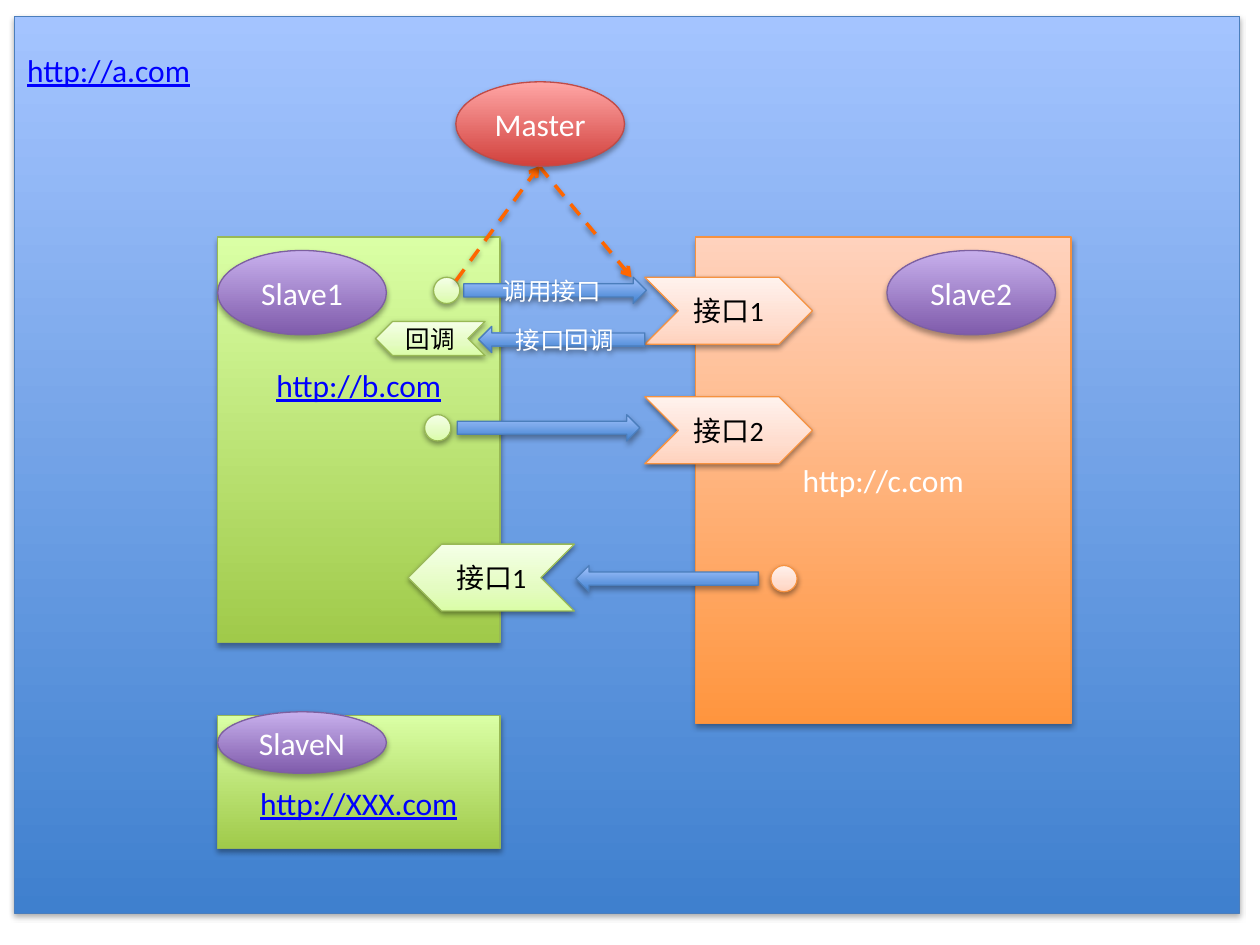
from lxml.etree import SubElement as Sub
from pptx import Presentation
from pptx.dml.color import RGBColor as Rgb
from pptx.enum.dml import MSO_LINE_DASH_STYLE as Dash
from pptx.enum.shapes import MSO_CONNECTOR as Conn, MSO_SHAPE as Geo
from pptx.enum.text import MSO_ANCHOR as Anchor, PP_ALIGN as Align
from pptx.oxml.ns import qn
from pptx.util import Cm, Pt

COLORS = {"white": "FFFFFF", "black": "000000", "link": "0000FF", "dash": "FF6600"}

# Each look: gradient stops from bottom to top, and the outline
LOOKS = {
    "blue": ({0: "3F80CE", 100: "A4C4FF"}, "4B7EBC"),
    "green": ({0: "A0CA4A", 100: "DAFFA5"}, "98B955"),
    "orange": ({0: "FF953E", 100: "FFD2BD"}, "F69240"),
    "red": ({0: "D1403C", 100: "FFA6A5"}, "BF4C48"),
    "purple": ({0: "7F5BAB", 100: "C8B0ED"}, "7D60A0"),
    "mint": ({0: "DAFDA7", 35: "E4FCC2", 100: "F5FFE7"}, "98B955"),
    "peach": ({0: "FFD2BD", 35: "FFDED0", 100: "FFF2ED"}, "F69240"),
}
PALE = ("mint", "peach")


def tint(parent, color, alpha=None):
    node = Sub(parent, qn("a:srgbClr"), val=color)
    if alpha:
        Sub(node, qn("a:alpha"), val=str(alpha * 1000))


def shade(props, pale):
    """Drop a soft shadow straight down."""
    effects = props.find(qn("a:effectLst"))
    if effects is None:
        effects = Sub(props, qn("a:effectLst"))
    drop = Sub(effects, qn("a:outerShdw"), blurRad="40000",
               dist="20000" if pale else "23000", dir="5400000", rotWithShape="0")
    tint(drop, COLORS["black"], 38 if pale else 35)


def blend(shape, stops):
    """Fill with a gradient that rises from the bottom."""
    shape.fill.gradient()
    grad = shape.element.spPr.find(qn("a:gradFill"))
    for child in list(grad):
        grad.remove(child)
    group = Sub(grad, qn("a:gsLst"))
    for pos, color in stops.items():
        tint(Sub(group, qn("a:gs"), pos=str(pos * 1000)), color)
    Sub(grad, qn("a:lin"), ang="16200000", scaled="0")


def write(shape, text, size, color, align=Align.CENTER, top=None):
    """Centre the text vertically, or start it at a given depth."""
    frame = shape.text_frame
    frame.word_wrap = True
    frame.text = text
    frame.vertical_anchor = Anchor.MIDDLE if top is None else Anchor.TOP
    if top is not None:
        frame.margin_top = Cm(top)
    para = frame.paragraphs[0]
    para.alignment = align
    font = para.runs[0].font
    font.name, font.size = "Calibri", Pt(size)
    font.color.rgb = Rgb.from_string(COLORS[color])
    font.underline = color == "link"


def draw(slide, geo, look, box, flip=False):
    shape = slide.shapes.add_shape(geo, *map(Cm, box))
    stops, edge = LOOKS[look]
    blend(shape, stops)
    shape.line.color.rgb = Rgb.from_string(edge)
    shape.line.width = Pt(0.75)
    shape.shadow.inherit = False
    shade(shape.element.spPr, look in PALE)
    if flip:
        shape.element.spPr.xfrm.set("flipH", "1")
    return shape


def panel(slide, look, box, url, color="link", **place):
    write(draw(slide, Geo.RECTANGLE, look, box), url, 18, color, **place)


def port(slide, look, box, text, size=16, flip=False):
    write(draw(slide, Geo.CHEVRON, look, box, flip), text, size, "black")


def arrow(slide, left, top, width=3.68, text="", flip=False):
    shape = draw(slide, Geo.RIGHT_ARROW, "blue", (left, top, width, 0.53), flip)
    if text:
        write(shape, text, 14, "white")


def dot(slide, look, left, top):
    draw(slide, Geo.OVAL, look, (left, top, 0.53, 0.53))


def node(slide, look, left, top, text, height=1.7):
    write(draw(slide, Geo.OVAL, look, (left, top, 3.4, height)), text, 18, "white")


def route(slide, start, end):
    """Dashed line with an arrowhead at its end."""
    link = slide.shapes.add_connector(Conn.STRAIGHT, *map(Cm, start + end))
    link.line.color.rgb = Rgb.from_string(COLORS["dash"])
    link.line.width = Pt(2)
    link.line.dash_style = Dash.DASH
    props = link.element.spPr
    Sub(props.find(qn("a:ln")), qn("a:tailEnd"), type="arrow")
    shade(props, True)


def main():
    prs = Presentation()
    prs.slide_width, prs.slide_height = Cm(25.4), Cm(19.05)
    slide = prs.slides.add_slide(prs.slide_layouts[6])
    west, call, second, back = 4.39, 5.59, 8.36, 11.4

    # Host panels
    panel(slide, "blue", (0.3, 0.33, 24.69, 18.08), "http://a.com",
          align=Align.LEFT, top=0.7)
    panel(slide, "green", (west, 4.78, 5.69, 8.18), "http://b.com", top=2.6)
    panel(slide, "orange", (14.02, 4.78, 7.57, 9.8), "http://c.com", "white")

    # Interfaces
    port(slide, "peach", (13, call, 3.38, 1.35), "接口1")
    port(slide, "peach", (13, 8, 3.38, 1.35), "接口2")
    port(slide, "mint", (8.23, 10.97, 3.35, 1.35), "接口1", flip=True)

    # Calls and callbacks
    arrow(slide, 9.35, call, text="调用接口")
    arrow(slide, 9.22, second)
    arrow(slide, 11.61, back, flip=True)
    arrow(slide, 9.65, 6.58, 3.35, "接口回调", True)
    dot(slide, "mint", 8.74, call)
    dot(slide, "mint", 8.56, second)
    dot(slide, "peach", 15.54, back)
    port(slide, "mint", (7.57, 6.48, 2.21, 0.69), "回调", 14, True)

    # Lookup through the master
    hub = (10.87, 3.35)
    route(slide, (9.19, 5.66), hub)
    route(slide, hub, (12.73, 5.59))
    node(slide, "red", 9.19, 1.65, "Master")

    # Slaves
    node(slide, "purple", west, 5.05, "Slave1")
    node(slide, "purple", 17.88, 5.05, "Slave2")
    panel(slide, "green", (west, 14.43, 5.69, 2.67), "http://XXX.com", top=1.37)
    node(slide, "purple", west, 14.35, "SlaveN", 1.24)

    prs.save("out.pptx")


if __name__ == "__main__":
    main()
